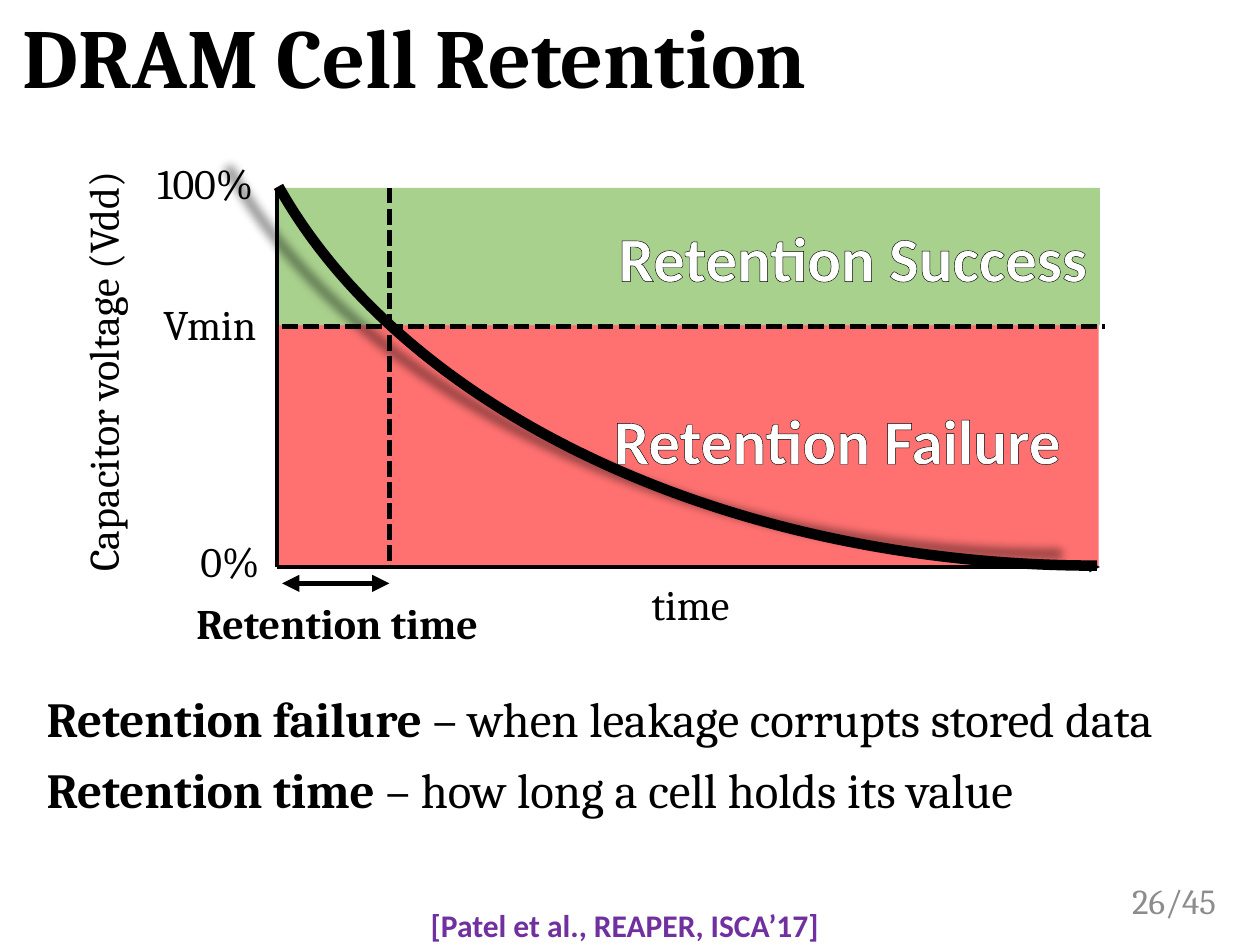
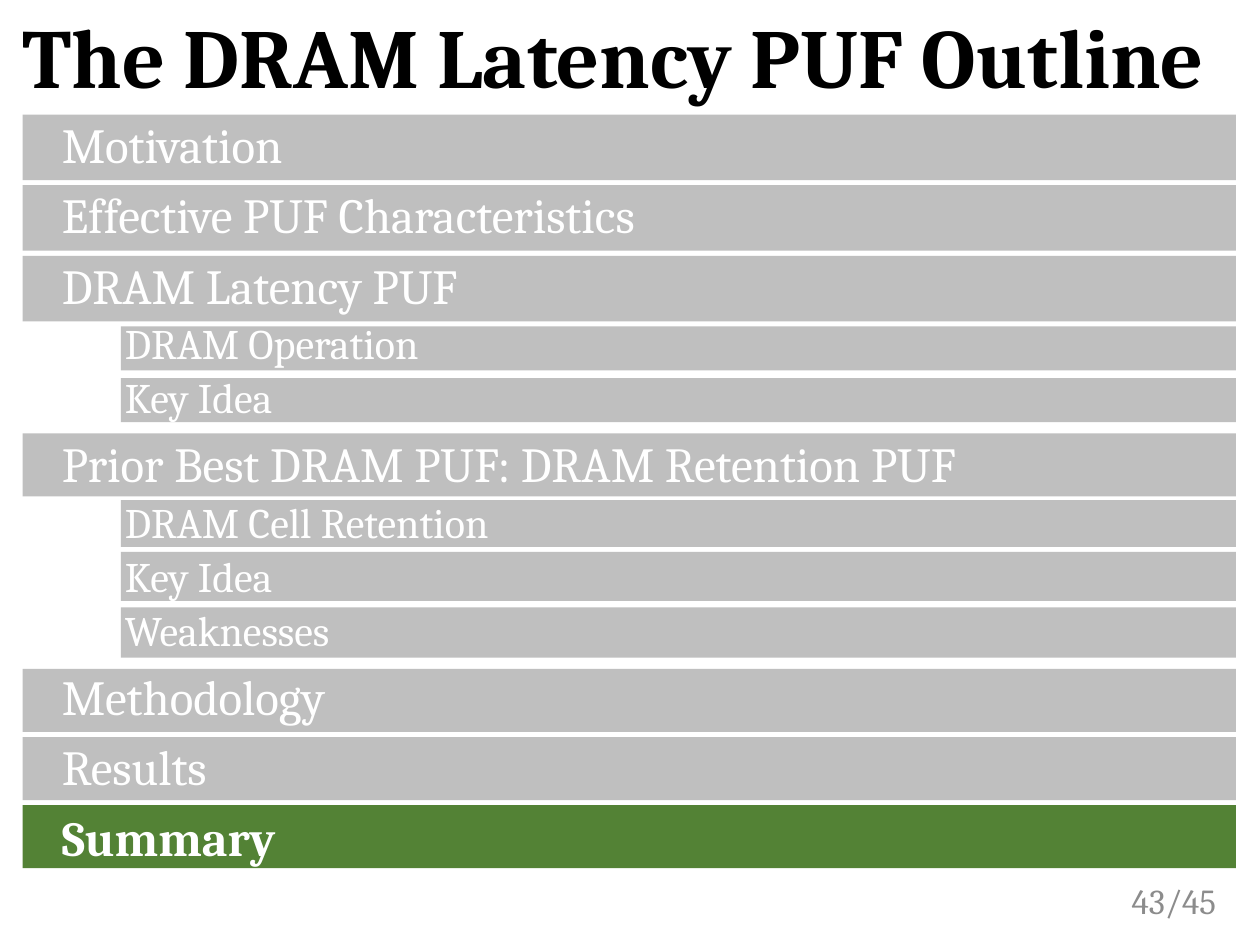
import dataclasses

import pptx
import pptx.dml.color
import pptx.enum.dml
import pptx.enum.shapes
import pptx.enum.text
import pptx.oxml
import pptx.oxml.ns
import pptx.oxml.xmlchemy
import pptx.util
from lxml import etree

PX = 9144  # EMU per px, 100 px to the inch
qn = pptx.oxml.ns.qn
ALIGN = pptx.enum.text.PP_ALIGN
ANCHOR = pptx.enum.text.MSO_ANCHOR
SHAPE = pptx.enum.shapes.MSO_SHAPE
DASH = pptx.enum.dml.MSO_LINE.SQUARE_DOT


@dataclasses.dataclass(frozen=True)
class Theme:
    serif: str = "Cambria"
    sans: str = "Calibri"
    black: str = "000000"
    white: str = "FFFFFF"
    gray: str = "8C8C8C"
    bar: str = "BFBFBF"
    active: str = "538235"
    success: str = "A9D18E"
    failure: str = "FF7171"
    purple: str = "7030A0"
    title: int = 48
    zone: int = 36
    body: int = 28
    label: int = 24
    number: int = 20
    citation: int = 18


T = Theme()
PAGE_COUNT = 45

# text, level, top and height of the bar behind it
OUTLINE = [
    ("Motivation", 0, 91, 52),
    ("Effective PUF Characteristics", 0, 147, 52),
    ("DRAM Latency PUF", 0, 203, 52),
    ("DRAM Operation", 1, 259, 35),
    ("Key Idea", 1, 300, 35),
    ("Prior Best DRAM PUF: DRAM Retention PUF", 0, 344, 50),
    ("DRAM Cell Retention", 1, 397, 37),
    ("Key Idea", 1, 438, 39),
    ("Weaknesses", 1, 482, 40),
    ("Methodology", 0, 531, 50),
    ("Results", 0, 585, 50),
    ("Summary", 0, 639, 50),
]
CURRENT = "Summary"
BAR_LEFT, BAR_RIGHT = (18, 96), 981


def emu(*lengths):
    return [pptx.util.Emu(n * PX) for n in lengths]


def rgb(color):
    return pptx.dml.color.RGBColor.from_string(color)


def add_run(p, text, size, color=T.black, bold=False, font=T.serif):
    r = p.add_run()
    r.text = text
    r.font.name, r.font.size, r.font.bold = font, pptx.util.Pt(size), bold
    r.font.color.rgb = rgb(color)
    return r


def place(sp, left, top, width, height):
    sp.left, sp.top, sp.width, sp.height = emu(left, top, width, height)


def prepare_placeholder(sp, box):
    place(sp, *box)
    tf = sp.text_frame
    tf.word_wrap = True
    tf.auto_size = pptx.enum.text.MSO_AUTO_SIZE.NONE
    tf.vertical_anchor = ANCHOR.TOP
    return tf


def add_page(prs, title, number):
    s = prs.slides.add_slide(prs.slide_layouts[1])
    tf = prepare_placeholder(s.shapes.title, (8, 8, 983, 81))
    p = tf.paragraphs[0]
    p.alignment, p.line_spacing = ALIGN.LEFT, 0.9
    add_run(p, title, T.title, bold=True)
    add_label(s, f"{number}/{PAGE_COUNT}", (867, 695, 108, 40), size=T.number,
              color=T.gray, align=ALIGN.RIGHT, anchor=ANCHOR.MIDDLE)
    return s


def fill_body(s, box, items):
    """Fill the body, in front of all shapes, with (level, [(text, color, bold)])."""
    body = s.placeholders[1]
    s.shapes._spTree.append(body._element)
    tf = prepare_placeholder(body, box)
    for i, (level, runs) in enumerate(items):
        p = tf.add_paragraph() if i else tf.paragraphs[0]
        p.level = level
        pPr = p._p.get_or_add_pPr()
        pPr.set("marL", str(level * 50 * PX))
        pPr.set("indent", "0")
        etree.SubElement(pPr, qn("a:buNone"))
        p.alignment, p.line_spacing = ALIGN.LEFT, 0.9
        p.space_before = pptx.util.Pt((5 if level else 10) if i else 0)
        for text, color, bold in runs:
            add_run(p, text, T.label if level else T.body, color, bold)


def add_label(s, text, box, size=T.label, color=T.black, bold=False, font=T.serif,
              align=ALIGN.CENTER, anchor=ANCHOR.TOP, wrap=True, rotation=0):
    sp = s.shapes.add_textbox(*emu(*box))
    sp.rotation = rotation
    tf = sp.text_frame
    tf.word_wrap, tf.vertical_anchor = wrap, anchor
    p = tf.paragraphs[0]
    p.alignment = align
    add_run(p, text, size, color, bold, font)


def add_bar(s, box, color):
    sp = s.shapes.add_shape(SHAPE.RECTANGLE, *emu(*box))
    sp.shadow.inherit = False
    sp.fill.solid()
    sp.fill.fore_color.rgb = rgb(color)
    sp.line.fill.background()
    return sp


def add_zone(s, text, box, color, right_inset):
    """Add a coloured chart zone with outlined text at its right."""
    tf = add_bar(s, box, color).text_frame
    tf.vertical_anchor = ANCHOR.MIDDLE
    tf.margin_right = emu(right_inset)[0]
    p = tf.paragraphs[0]
    p.alignment = ALIGN.RIGHT
    r = add_run(p, text, T.zone, T.white, True, T.sans)
    ln = etree.Element(qn("a:ln"), w=str(pptx.util.Pt(1)))
    fill = etree.SubElement(ln, qn("a:solidFill"))
    etree.SubElement(fill, qn("a:srgbClr"), val=T.black)
    r.font._element.insert(0, ln)


def style_line(line, width, dash=None):
    line.color.rgb = rgb(T.black)
    line.width = pptx.util.Pt(width)
    if dash:
        line.dash_style = dash


def add_line(s, start, end, width, dash=None, arrows=()):
    """Draw a line; arrows names its headed ends, headEnd before tailEnd."""
    cx = s.shapes.add_connector(pptx.enum.shapes.MSO_CONNECTOR.STRAIGHT,
                                *emu(*start, *end))
    style_line(cx.line, width, dash)
    spPr = cx._element.spPr
    for arrow in arrows:
        etree.SubElement(spPr.find(qn("a:ln")), qn(f"a:{arrow}"), type="triangle")
    etree.SubElement(spPr, qn("a:effectLst"))


def add_decay_curve(s, box):
    sp = s.shapes.add_shape(SHAPE.ARC, *emu(*box))
    sp.adjustments[0], sp.adjustments[1] = 162, 207.57
    sp.fill.background()
    style_line(sp.line, 6)
    sp.shadow.inherit = False
    spPr = sp._element.spPr
    for flip in ("flipH", "flipV"):
        spPr.find(qn("a:xfrm")).set(flip, "1")
    shadow = etree.SubElement(spPr.find(qn("a:effectLst")), qn("a:outerShdw"),
                              blurRad=str(pptx.util.Pt(5)), sx="102000", sy="102000",
                              algn="ctr", rotWithShape="0")
    color = etree.SubElement(shadow, qn("a:srgbClr"), val=T.black)
    etree.SubElement(color, qn("a:alpha"), val="40000")


def build_retention(prs):
    s = add_page(prs, "DRAM Cell Retention", 26)
    add_zone(s, "Retention Failure", (221, 247, 651, 203), T.failure, 30)
    add_zone(s, "Retention Success", (220, 149, 653, 109), T.success, 10)

    origin = (220, 450)
    add_line(s, origin, (220, 149), 2)
    add_line(s, origin, (873, 450), 2, arrows=["tailEnd"])
    add_label(s, "time", (404, 456, 288, 46), anchor=ANCHOR.MIDDLE)
    add_label(s, "Capacitor voltage (Vdd)", (-193, 272, 548, 46),
              anchor=ANCHOR.MIDDLE, rotation=270)
    add_decay_curve(s, (177, -478, 1387, 927))
    for text, box in [("100%", (110, 120, 106, 50)),
                      ("0%", (148, 420, 69, 50)),
                      ("Vmin", (119, 232, 95, 50))]:
        add_label(s, text, box, wrap=False)

    add_line(s, (224, 259), (877, 259), 3, DASH)
    add_line(s, (224, 463), (309, 463), 3.25, arrows=["headEnd", "tailEnd"])
    add_line(s, (309, 149), (309, 449), 3, DASH)
    add_label(s, "Retention time", (146, 469, 257, 50), bold=True,
              align=ALIGN.LEFT, wrap=False)
    add_label(s, "[Patel et al., REAPER, ISCA’17]", (332, 714, 336, 40),
              T.citation, T.purple, True, T.sans, ALIGN.LEFT, wrap=False)

    definitions = [("Retention failure ", "– when leakage corrupts stored data"),
                   ("Retention time ", "– how long a cell holds its value")]
    fill_body(s, (27, 547, 945, 134),
              [(0, [(term, T.black, True), (meaning, T.black, False)])
               for term, meaning in definitions])


def build_outline(prs):
    s = add_page(prs, "The DRAM Latency PUF Outline", 43)
    for text, level, top, height in OUTLINE:
        left = BAR_LEFT[level]
        add_bar(s, (left, top, BAR_RIGHT - left, height),
                T.active if text == CURRENT else T.bar)
    fill_body(s, (39, 91, 888, 582),
              [(level, [(text, T.white, text == CURRENT)])
               for text, level, _, _ in OUTLINE])


def main():
    prs = pptx.Presentation()
    prs.slide_width, prs.slide_height = emu(1000, 750)
    build_retention(prs)
    build_outline(prs)
    prs.save("out.pptx")


if __name__ == "__main__":
    main()
